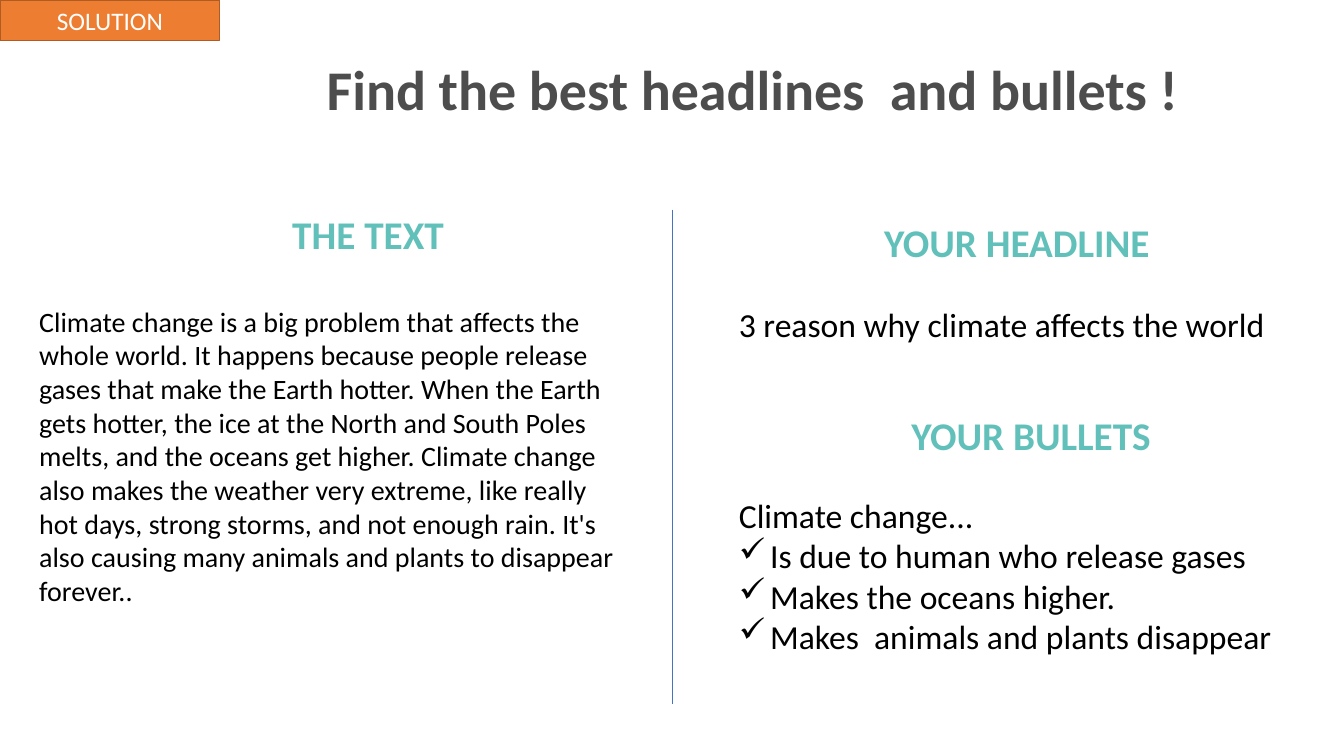
from lxml.etree import SubElement
from pptx import Presentation
from pptx.dml.color import RGBColor
from pptx.enum.shapes import MSO_CONNECTOR, MSO_SHAPE
from pptx.enum.text import MSO_ANCHOR, MSO_AUTO_SIZE, PP_ALIGN
from pptx.oxml.ns import qn
from pptx.util import Pt

PX = 9144
CLIMATE_TEXT = (
    "Climate change is a big problem that affects the whole world. "
    "It happens because people release gases that make the Earth hotter. "
    "When the Earth gets hotter, the ice at the North and South Poles melts, "
    "and the oceans get higher. Climate change also makes the weather very extreme, "
    "like really hot days, strong storms, and not enough rain. "
    "It's also causing many animals and plants to disappear forever.."
)
HEADINGS = [
    ("THE TEXT", (280, 204, 172, 57)),
    ("YOUR HEADLINE", (867, 212, 286, 57)),
    ("YOUR BULLETS", (894, 403, 260, 57)),
]
BULLETS = [
    "Is due to human who release gases",
    "Makes the oceans higher.",
    "Makes  animals and plants disappear",
]


def colour(value):
    return RGBColor.from_string(value)


class Slide:
    """Style and drawing methods for one slide, with lengths in px."""

    font = "Calibri"
    ink, grey, teal = "000000", "4D4D4D", "61C0BA"
    orange, brown, blue, white = "ED7D31", "AF5C24", "4472C4", "FFFFFF"

    def __init__(self, deck):
        self.page = deck.slides.add_slide(deck.slide_layouts[5])

    def fill_text(self, box, lines, size, ink, bold=False, wrap=False,
                  align=PP_ALIGN.LEFT, anchor=MSO_ANCHOR.TOP, bullets=()):
        frame = box.text_frame
        frame.text = "\n".join([*lines, *bullets])
        frame.word_wrap = wrap
        frame.auto_size = MSO_AUTO_SIZE.NONE
        frame.vertical_anchor = anchor
        for index, para in enumerate(frame.paragraphs):
            para.alignment = align
            if index >= len(lines):
                self.bullet(para)
            for span in para.runs:
                span.font.name = self.font
                span.font.size = Pt(size)
                span.font.bold = bold
                span.font.color.rgb = colour(ink)

    def bullet(self, para, indent=31):
        properties = para._p.get_or_add_pPr()
        properties.set("marL", str(indent * PX))
        properties.set("indent", str(-indent * PX))
        SubElement(properties, qn("a:buChar")).set("char", "✓")

    def title(self, text, area):
        box = self.page.shapes.title
        box.left, box.top, box.width, box.height = [n * PX for n in area]
        self.fill_text(box, [text], 40, self.grey, bold=True)
        box.text_frame.paragraphs[0].line_spacing = 1.0

    def text(self, area, lines, size, ink=ink, **style):
        box = self.page.shapes.add_textbox(*[n * PX for n in area])
        self.fill_text(box, lines, size, ink, **style)

    def tag(self, text, area):
        box = self.page.shapes.add_shape(MSO_SHAPE.RECTANGLE, *[n * PX for n in area])
        box.shadow.inherit = False
        box.fill.solid()
        box.fill.fore_color.rgb = colour(self.orange)
        box.line.color.rgb = colour(self.brown)
        box.line.width = Pt(1)
        self.fill_text(box, [text], 18, self.white, wrap=True,
                       align=PP_ALIGN.CENTER, anchor=MSO_ANCHOR.MIDDLE)

    def divider(self, x, top, bottom):
        line = self.page.shapes.add_connector(
            MSO_CONNECTOR.STRAIGHT, x * PX, top * PX, x * PX, bottom * PX)
        line.line.color.rgb = colour(self.blue)
        line.line.width = Pt(0.5)
        SubElement(line._element.spPr, qn("a:effectLst"))


def main():
    deck = Presentation()
    deck.slide_width, deck.slide_height = 1333 * PX, 750 * PX
    slide = Slide(deck)
    slide.tag("SOLUTION", (0, 0, 218, 40))
    slide.title("Find the best headlines  and bullets !", (314, 49, 875, 77))
    slide.divider(667, 208, 698)
    for heading, area in HEADINGS:
        slide.text(area, [heading], 28, slide.teal, bold=True)
    slide.text((29, 297, 600, 313), [CLIMATE_TEXT], 20, wrap=True)
    slide.text((723, 486, 610, 212), ["Climate change..."], 24, wrap=True, bullets=BULLETS)
    slide.text((723, 297, 565, 50), ["3 reason why climate affects the world"], 24)
    deck.save("out.pptx")


if __name__ == "__main__":
    main()
